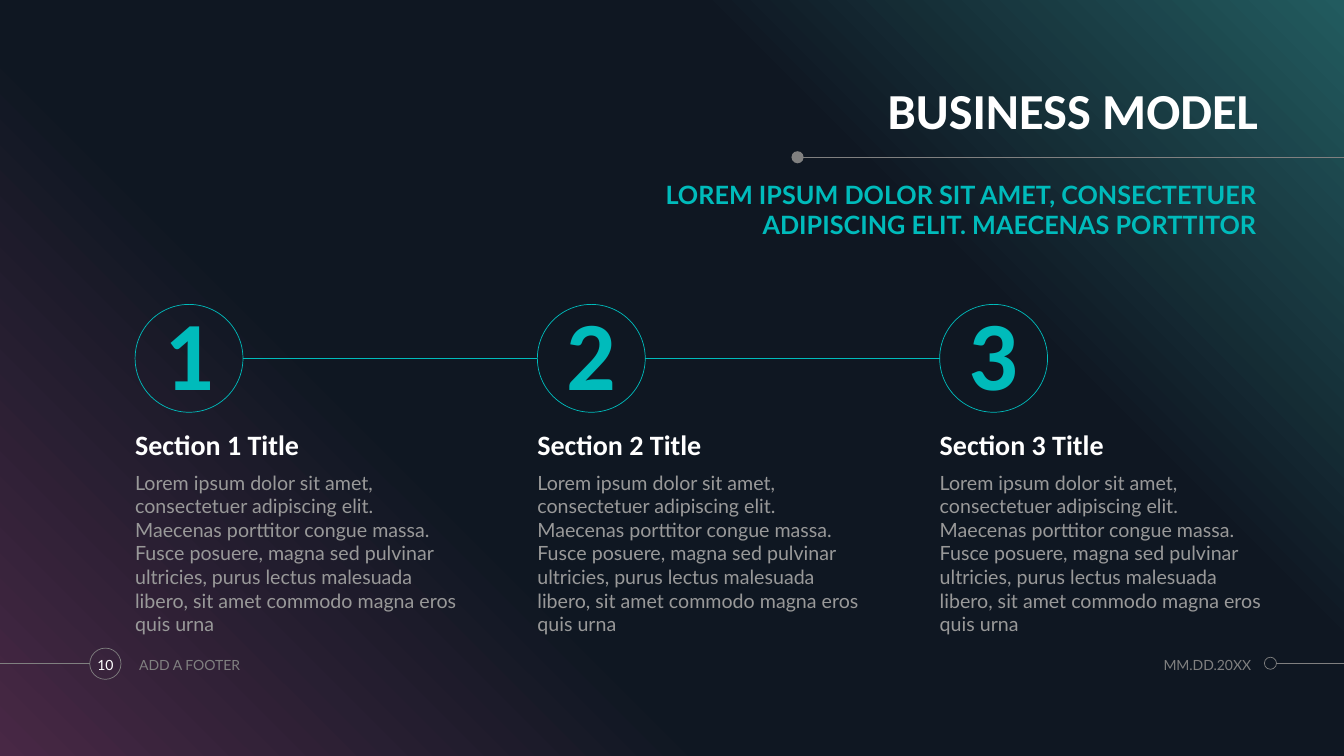
from copy import deepcopy
from dataclasses import dataclass

from pptx import Presentation
from pptx.dml.color import RGBColor
from pptx.enum.shapes import MSO_CONNECTOR, MSO_SHAPE
from pptx.enum.text import MSO_ANCHOR, MSO_AUTO_SIZE, PP_ALIGN
from pptx.oxml.ns import qn
from pptx.util import Inches, Pt

LEFT, CENTER, RIGHT = PP_ALIGN.LEFT, PP_ALIGN.CENTER, PP_ALIGN.RIGHT
TOP, MIDDLE, BOTTOM = MSO_ANCHOR.TOP, MSO_ANCHOR.MIDDLE, MSO_ANCHOR.BOTTOM
OVAL, STRAIGHT = MSO_SHAPE.OVAL, MSO_CONNECTOR.STRAIGHT

TITLE = "BUSINESS MODEL"
SUBTITLE = "LOREM IPSUM DOLOR SIT AMET, CONSECTETUER ADIPISCING ELIT. MAECENAS PORTTITOR"
LOREM = (
    "Lorem ipsum dolor sit amet, consectetuer adipiscing elit. "
    "Maecenas porttitor congue massa. Fusce posuere, magna sed pulvinar ultricies, "
    "purus lectus malesuada libero, sit amet commodo magna eros quis urna"
)
SECTIONS = [
    ("1", "Section 1 Title", LOREM),
    ("2", "Section 2 Title", LOREM),
    ("3", "Section 3 Title", LOREM),
]
PAGE, FOOTER, DATE = "10", "ADD A FOOTER", "MM.DD.20XX"


@dataclass(frozen=True)
class Style:
    font: str
    size: int
    color: str
    bold: bool = False
    spacing: float = 1.0


class Theme:
    teal, gray = "00BBBB", "808080"
    gradient = [(0, "482845"), (0.34, "0F1722"), (0.69, "0F1722"), (1, "225B5F")]
    line = 0.5
    title = Style("Calibri", 36, "FFFFFF", True, 0.9)
    subtitle = Style("Lato", 18, teal, True)
    number = Style("Calibri", 70, teal, True, 0.9)
    heading = Style("Calibri", 20, "FFFFFF", True, 0.9)
    body = Style("Lato", 14, "999999")
    page = Style("Lato", 10, "FFFFFF")
    footer = Style("Lato", 10, gray)


SLIDE_W, SLIDE_H = 13.33, 7.5
FIRST_LEFT, PITCH, COLUMN_W = 1.34, 3.99, 3.22
CIRCLE_TOP, CIRCLE = 3.02, 1.07
RULE_Y, FOOTER_Y = 1.56, 6.58


def rgb(color):
    return RGBColor.from_string(color)


def paint_background(s):
    s.background.fill.gradient()
    s.background.fill.gradient_angle = 45
    stops = s._element.find(".//" + qn("a:gsLst"))
    while len(stops) < len(Theme.gradient):
        stops.append(deepcopy(stops[0]))
    for stop, (position, color) in zip(s.background.fill.gradient_stops, Theme.gradient):
        stop.position = position
        stop.color.rgb = rgb(color)


def write(sp, text, style, align=LEFT, anchor=TOP):
    tf = sp.text_frame
    tf.text = text
    tf.word_wrap = True
    tf.auto_size = MSO_AUTO_SIZE.NONE
    tf.vertical_anchor = anchor
    tf.margin_left = tf.margin_right = tf.margin_top = tf.margin_bottom = 0
    p = tf.paragraphs[0]
    p.alignment, p.line_spacing, p.space_before = align, style.spacing, Pt(0)
    font = p.runs[0].font
    font.name, font.size, font.bold = style.font, Pt(style.size), style.bold
    font.color.rgb = rgb(style.color)


def place(sp, left, top, width, height):
    sp.left, sp.top, sp.width, sp.height = map(Inches, (left, top, width, height))


def add_text(s, box, *args):
    write(s.shapes.add_textbox(*map(Inches, box)), *args)


def add_line(s, x1, x2, y, color):
    line = s.shapes.add_connector(STRAIGHT, *map(Inches, (x1, y, x2, y)))
    line.line.color.rgb = rgb(color)
    line.line.width = Pt(Theme.line)
    line._element.spPr.append(line._element.makeelement(qn("a:effectLst"), {}))


def add_circle(s, left, top, size, color, filled=False):
    sp = s.shapes.add_shape(OVAL, *map(Inches, (left, top, size, size)))
    sp.shadow.inherit = False
    if filled:
        sp.fill.solid()
        sp.fill.fore_color.rgb = rgb(color)
        sp.line.fill.background()
    else:
        sp.fill.background()
        sp.line.color.rgb = rgb(color)
        sp.line.width = Pt(Theme.line)
    return sp


def add_header(s):
    title, subtitle = s.placeholders[0], s.placeholders[1]
    place(title, 5.58, 0.77, 6.9, 0.62)
    write(title, TITLE, Theme.title, RIGHT, BOTTOM)
    place(subtitle, 5.58, 1.78, 6.88, 0.62)
    write(subtitle, SUBTITLE, Theme.subtitle, RIGHT)
    pPr = subtitle.text_frame.paragraphs[0]._p.get_or_add_pPr()
    pPr.set("marL", "0")
    pPr.set("indent", "0")
    pPr.append(pPr.makeelement(qn("a:buNone"), {}))
    add_line(s, 7.94, SLIDE_W, RULE_Y, Theme.gray)
    add_circle(s, 7.85, RULE_Y - 0.06, 0.12, Theme.gray, filled=True)


def add_sections(s):
    for i, (number, heading, body) in enumerate(SECTIONS):
        left = FIRST_LEFT + i * PITCH
        if i:
            add_line(s, left - PITCH + CIRCLE, left, CIRCLE_TOP + CIRCLE / 2, Theme.teal)
        circle = add_circle(s, left, CIRCLE_TOP, CIRCLE, Theme.teal)
        write(circle, number, Theme.number, CENTER, MIDDLE)
        add_text(s, (left, 4.22, COLUMN_W, 0.36), heading, Theme.heading, LEFT, BOTTOM)
        add_text(s, (left, 4.67, COLUMN_W, 1.55), body, Theme.body)


def add_footer(s):
    add_line(s, 0, 0.89, FOOTER_Y, Theme.gray)
    add_circle(s, 0.89, 6.43, 0.31, Theme.gray)
    add_line(s, 12.66, SLIDE_W, FOOTER_Y, Theme.gray)
    add_circle(s, 12.54, FOOTER_Y - 0.06, 0.12, Theme.gray)
    for left, width, text, style, align in [
        (0.85, 0.39, PAGE, Theme.page, CENTER),
        (1.38, 2.99, FOOTER, Theme.footer, LEFT),
        (10.95, 1.46, DATE, Theme.footer, RIGHT),
    ]:
        add_text(s, (left, 6.43, width, 0.33), text, style, align, MIDDLE)


def main():
    prs = Presentation()
    prs.slide_width, prs.slide_height = Inches(SLIDE_W), Inches(SLIDE_H)
    s = prs.slides.add_slide(prs.slide_layouts[1])
    paint_background(s)
    add_header(s)
    add_sections(s)
    add_footer(s)
    prs.save("out.pptx")


if __name__ == "__main__":
    main()
